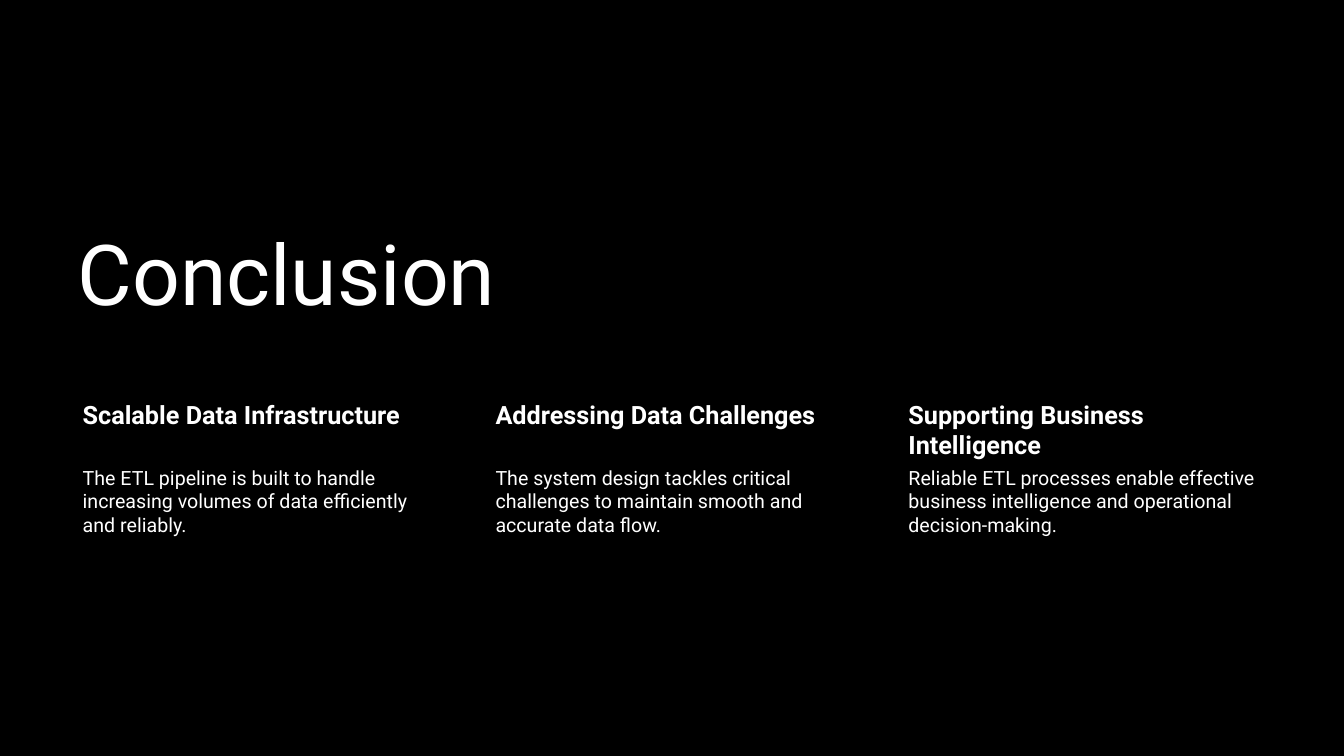
"""Build the conclusion slide with a title and three takeaway columns."""
import pptx
import pptx.dml.color
import pptx.enum.text
import pptx.util

Inches = pptx.util.Inches


def rgb(code):
    return pptx.dml.color.RGBColor.from_string(code)


class Deck:
    font = "Roboto"
    ink = "FFFFFF"
    paper = "000000"

    def __init__(self, prs):
        self.s = prs.slides.add_slide(prs.slide_layouts[5])
        fill = self.s.background.fill
        fill.solid()
        fill.fore_color.rgb = rgb(self.paper)

    def place(self, sp, left, top, width, height):
        sp.left, sp.top = Inches(left), Inches(top)
        sp.width, sp.height = Inches(width), Inches(height)

    def add_run(self, p, text, size, bold=False):
        p.alignment = pptx.enum.text.PP_ALIGN.LEFT
        r = p.add_run()
        r.text = text
        r.font.name = self.font
        r.font.size = pptx.util.Pt(size)
        r.font.bold = bold
        r.font.color.rgb = rgb(self.ink)

    def title(self, text, box, size):
        sp = self.s.shapes.title
        self.place(sp, *box)
        tf = sp.text_frame
        tf.word_wrap = True
        tf.auto_size = pptx.enum.text.MSO_AUTO_SIZE.NONE
        tf.vertical_anchor = pptx.enum.text.MSO_ANCHOR.BOTTOM
        p = tf.paragraphs[0]
        p.line_spacing = 0.9
        self.add_run(p, text, size)

    def text(self, text, box, size, inset, bold=False):
        sp = self.s.shapes.add_textbox(*map(Inches, box))
        tf = sp.text_frame
        tf.word_wrap = True
        tf.vertical_anchor = pptx.enum.text.MSO_ANCHOR.TOP
        tf.margin_left = Inches(0.15)
        tf.margin_top = tf.margin_right = tf.margin_bottom = Inches(inset)
        self.add_run(tf.paragraphs[0], text, size, bold)


TAKEAWAYS = [
    ("Scalable Data Infrastructure",
     "The ETL pipeline is built to handle increasing volumes of data "
     "efficiently and reliably."),
    ("Addressing Data Challenges",
     "The system design tackles critical challenges to maintain smooth and "
     "accurate data flow."),
    ("Supporting Business Intelligence",
     "Reliable ETL processes enable effective business intelligence and "
     "operational decision-making."),
]


def main():
    prs = pptx.Presentation()
    prs.slide_width, prs.slide_height = Inches(13.33), Inches(7.5)
    deck = Deck(prs)
    deck.title("Conclusion", (0.67, 2.02, 8.03, 1.24), 60)

    first, last, width = 0.67, 8.86, 3.72
    pitch = (last - first) / (len(TAKEAWAYS) - 1)
    for i, (heading, detail) in enumerate(TAKEAWAYS):
        left = first + i * pitch
        deck.text(heading, (left, 3.93, width, 0.67), 18, 0.03, bold=True)
        deck.text(detail, (left, 4.6, width, 2.06), 14, 0.02)

    prs.save("out.pptx")


if __name__ == "__main__":
    main()
